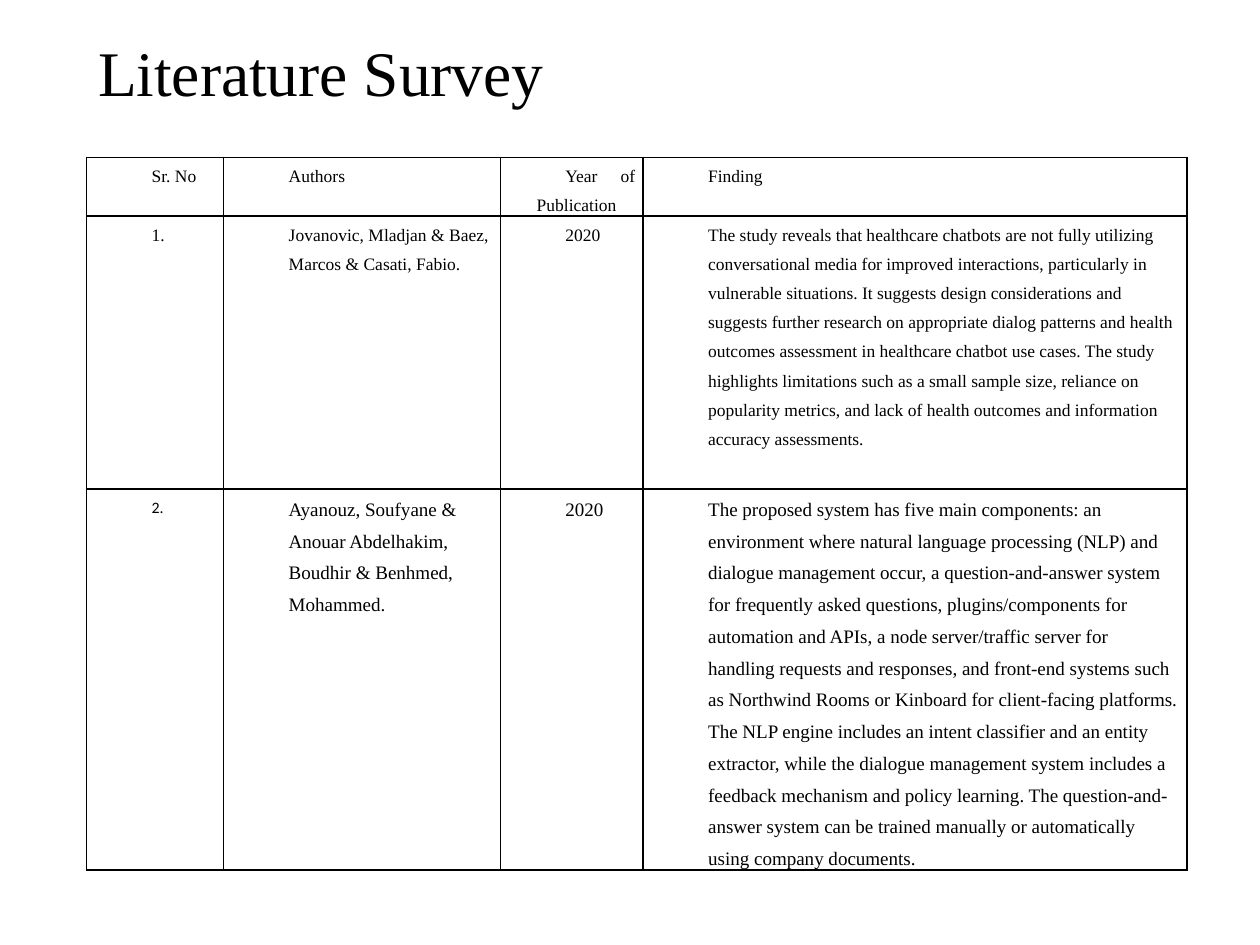
import pptx
import pptx.util
import pptx.dml.color
import pptx.enum.text
import pptx.oxml
import pptx.oxml.ns
from dataclasses import dataclass

Pt = pptx.util.Pt
Align = pptx.enum.text.PP_ALIGN
HUES = {"ink": "000000", "page": "FFFFFF"}
SERIF = "Times New Roman"
WIDTHS = (86.4, 174.24, 90, 342.72)
HEIGHTS = (37, 172, 240)


@dataclass
class Entry:
    text: str
    size: float = 11
    font: str = SERIF
    align: Align = Align.LEFT
    left: float = 36
    first: float = 0
    after: float = 0


ROWS = (
    (
        Entry("Sr. No", align=Align.JUSTIFY),
        Entry("Authors", align=Align.JUSTIFY),
        Entry("Year of Publication", align=Align.JUSTIFY, left=18, first=18),
        Entry("Finding", align=Align.JUSTIFY, after=8),
    ),
    (
        Entry("1."),
        Entry("Jovanovic, Mladjan & Baez, Marcos & Casati, Fabio."),
        Entry("2020"),
        Entry(
            "The study reveals that healthcare chatbots are not fully utilizing "
            "conversational media for improved interactions, particularly in "
            "vulnerable situations. It suggests design considerations and suggests "
            "further research on appropriate dialog patterns and health outcomes "
            "assessment in healthcare chatbot use cases. The study highlights "
            "limitations such as a small sample size, reliance on popularity "
            "metrics, and lack of health outcomes and information accuracy "
            "assessments.",
            after=8,
        ),
    ),
    (
        Entry("2.", size=10, font="Calibri"),
        Entry(
            "Ayanouz, Soufyane & Anouar Abdelhakim, Boudhir & Benhmed, Mohammed.",
            size=12,
        ),
        Entry("2020", size=12),
        Entry(
            "The proposed system has five main components: an environment where "
            "natural language processing (NLP) and dialogue management occur, a "
            "question-and-answer system for frequently asked questions, "
            "plugins/components for automation and APIs, a node server/traffic "
            "server for handling requests and responses, and front-end systems "
            "such as Northwind Rooms or Kinboard for client-facing platforms. The "
            "NLP engine includes an intent classifier and an entity extractor, "
            "while the dialogue management system includes a feedback mechanism "
            "and policy learning. The question-and-answer system can be trained "
            "manually or automatically using company documents.",
            size=12,
            after=8,
        ),
    ),
)


def hue(name: str) -> pptx.dml.color.RGBColor:
    return pptx.dml.color.RGBColor.from_string(HUES[name])


def style(para, size: float, font: str) -> None:
    for run in para.runs:
        run.font.size = Pt(size)
        run.font.name = font
        run.font.bold = False
        run.font.color.rgb = hue("ink")


def border(cell) -> None:
    props = cell._tc.get_or_add_tcPr()
    for side in ("lnL", "lnR", "lnT", "lnB"):
        props.append(pptx.oxml.parse_xml(
            f'<a:{side} {pptx.oxml.ns.nsdecls("a")} w="{Pt(1)}">'
            f'<a:solidFill><a:srgbClr val="{HUES["ink"]}"/></a:solidFill>'
            f'</a:{side}>'
        ))


def enter(cell, entry: Entry) -> None:
    border(cell)
    cell.fill.background()
    cell.margin_left = cell.margin_right = Pt(5)
    cell.margin_top = cell.margin_bottom = Pt(0)
    cell.text_frame.text = entry.text
    para = cell.text_frame.paragraphs[0]
    para.alignment = entry.align
    para.line_spacing = 1.5
    para.space_after = Pt(entry.after)
    props = para._p.get_or_add_pPr()
    props.set("marL", str(Pt(entry.left)))
    props.set("indent", str(Pt(entry.first)))
    style(para, entry.size, entry.font)


def head(slide) -> None:
    title = slide.shapes.title
    title.left, title.top = Pt(54.6), Pt(8.4)
    title.width, title.height = Pt(684.72), Pt(79.2)
    frame = title.text_frame
    frame.text = "Literature Survey"
    frame.word_wrap = True
    frame.auto_size = pptx.enum.text.MSO_AUTO_SIZE.NONE
    frame.vertical_anchor = pptx.enum.text.MSO_ANCHOR.MIDDLE
    para = frame.paragraphs[0]
    para.alignment = Align.LEFT
    para.line_spacing = 0.9
    para.space_after = Pt(14.1)
    style(para, 40, SERIF)


def survey(slide) -> None:
    table = slide.shapes.add_table(
        len(ROWS), len(WIDTHS), Pt(54.5), Pt(99),
        Pt(sum(WIDTHS)), Pt(sum(HEIGHTS)),
    ).table
    table.first_row = False
    table.horz_banding = False
    for col, width in zip(table.columns, WIDTHS):
        col.width = Pt(width)
    for row, height, items in zip(table.rows, HEIGHTS, ROWS):
        row.height = Pt(height)
        for cell, entry in zip(row.cells, items):
            enter(cell, entry)


def main() -> None:
    deck = pptx.Presentation()
    deck.slide_width, deck.slide_height = Pt(793.75), Pt(595.25)
    slide = deck.slides.add_slide(deck.slide_layouts[5])
    slide.background.fill.solid()
    slide.background.fill.fore_color.rgb = hue("page")
    head(slide)
    survey(slide)
    deck.save("out.pptx")


if __name__ == "__main__":
    main()
